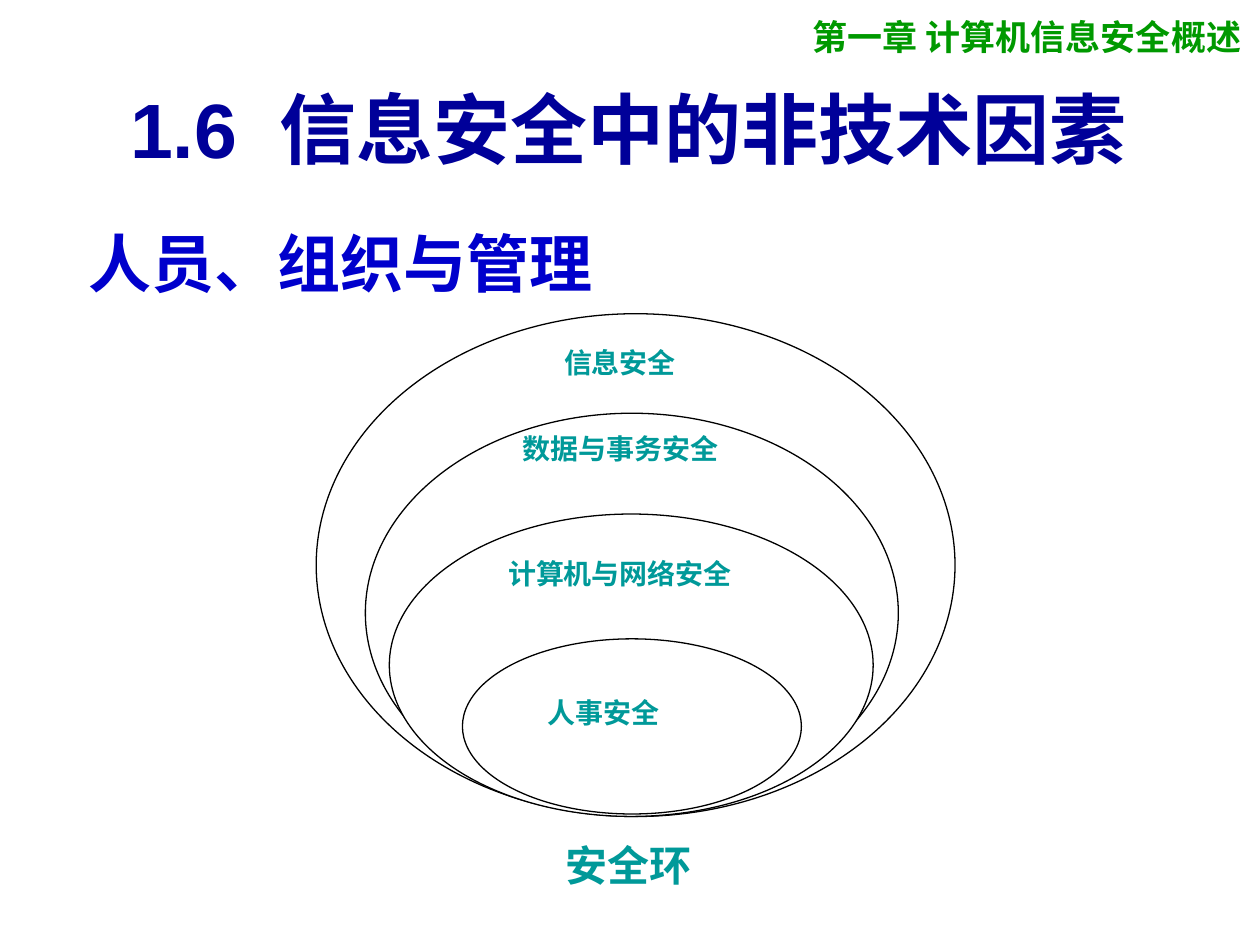
from lxml.etree import SubElement
from pptx import Presentation
from pptx.dml.color import RGBColor
from pptx.enum.shapes import MSO_SHAPE
from pptx.enum.text import MSO_ANCHOR, PP_ALIGN
from pptx.oxml.ns import qn
from pptx.util import Inches, Pt

WIDTH, HEIGHT = 10, 7.5
TEAL = "009999"
EAST_ASIAN_FONT = "Noto Sans CJK SC"
RINGS = [
    ("信息安全", (2.51, 2.49, 5.07, 3.99), (3.67, 2.69, 2.5, 0.6), PP_ALIGN.CENTER),
    ("数据与事务安全", (2.9, 3.28, 4.23, 3.17), (4.05, 3.38, 1.92, 0.6), PP_ALIGN.JUSTIFY),
    ("计算机与网络安全", (3.09, 4.08, 3.84, 2.4), (3.67, 4.37, 2.5, 0.6), PP_ALIGN.CENTER),
    ("人事安全", (3.67, 5.07, 2.69, 1.39), (4.25, 5.47, 1.34, 0.6), PP_ALIGN.JUSTIFY),
]


def color(value):
    return RGBColor.from_string(value)


def place(shape, area):
    shape.left, shape.top, shape.width, shape.height = map(Inches, area)


def style(para, size, font, value, align):
    para.alignment = align
    para.font.size = Pt(size)
    para.font.name = font
    para.font.bold = True
    para.font.color.rgb = color(value)
    properties = para.font._element
    SubElement(properties, qn("a:ea")).set("typeface", EAST_ASIAN_FONT)


def add_label(shapes, text, area, size, font, value, align):
    box = shapes.add_textbox(*map(Inches, area))
    box.text_frame.word_wrap = True
    para = box.text_frame.paragraphs[0]
    para.text = text
    style(para, size, font, value, align)


def add_ring(shapes, area):
    ring = shapes.add_shape(MSO_SHAPE.OVAL, *map(Inches, area))
    ring.shadow.inherit = False
    ring.fill.solid()
    ring.fill.fore_color.rgb = color("FFFFFF")
    ring.line.color.rgb = color("000000")
    ring.line.width = Pt(0.75)


def fill_title(title):
    place(title, (0.49, 0.53, 0.9 * WIDTH, 0.13 * HEIGHT))
    title.text_frame.vertical_anchor = MSO_ANCHOR.MIDDLE
    para = title.text_frame.paragraphs[0]
    for text in ("1.6", " ", "信息安全中的非技术因素"):
        span = para.add_run()
        span.text = text
        if text == " ":
            span.font._element.set("spc", "1200")
    style(para, 44, "Arial", "000099", PP_ALIGN.CENTER)


def fill_body(body):
    place(body, (0.35, 1.64, 9.46, 5.15))
    para = body.text_frame.paragraphs[0]
    para.text = "人员、组织与管理"
    para.line_spacing = 1.15
    para.space_before = Pt(0)
    properties = para._p.get_or_add_pPr()
    properties.set("marL", str(Inches(0.25)))
    properties.set("indent", "0")
    SubElement(properties, qn("a:buNone"))
    style(para, 36, "Times New Roman", "0000CC", PP_ALIGN.LEFT)


def main():
    deck = Presentation()
    deck.slide_width, deck.slide_height = Inches(WIDTH), Inches(HEIGHT)
    page = deck.slides.add_slide(deck.slide_layouts[1])
    add_label(page.shapes, "第一章 计算机信息安全概述", (3.54, 0.07, 6.41, 0.77),
              20, EAST_ASIAN_FONT, "009900", PP_ALIGN.RIGHT)
    fill_title(page.shapes.title)
    fill_body(page.placeholders[1])
    diagram = page.shapes.add_group_shape()
    for _, ring_area, _, _ in RINGS:
        add_ring(diagram.shapes, ring_area)
    for text, _, label_area, align in RINGS:
        add_label(diagram.shapes, text, label_area, 16, "Times New Roman", TEAL, align)
    add_label(page.shapes, "安全环", (2.83, 6.61, 4.32, 0.65),
              24, "Times New Roman", TEAL, PP_ALIGN.CENTER)
    deck.save("out.pptx")


if __name__ == "__main__":
    main()
